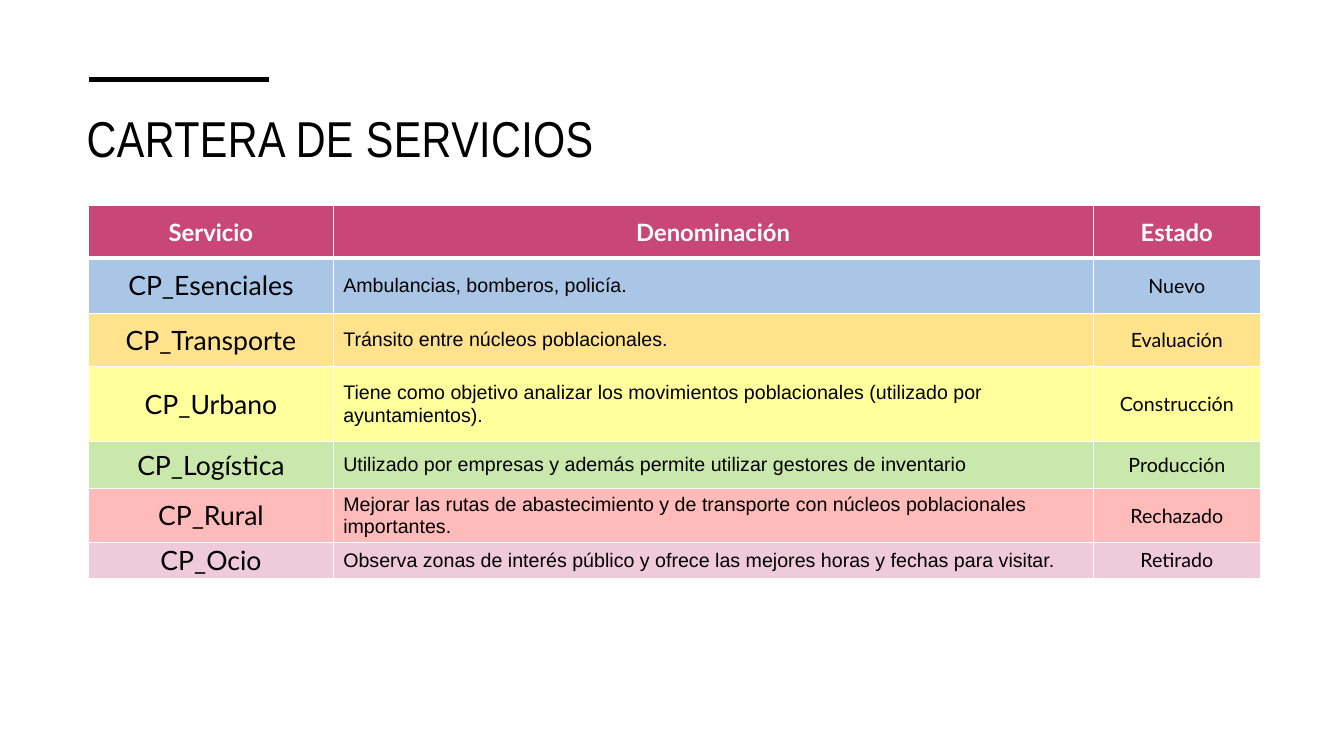
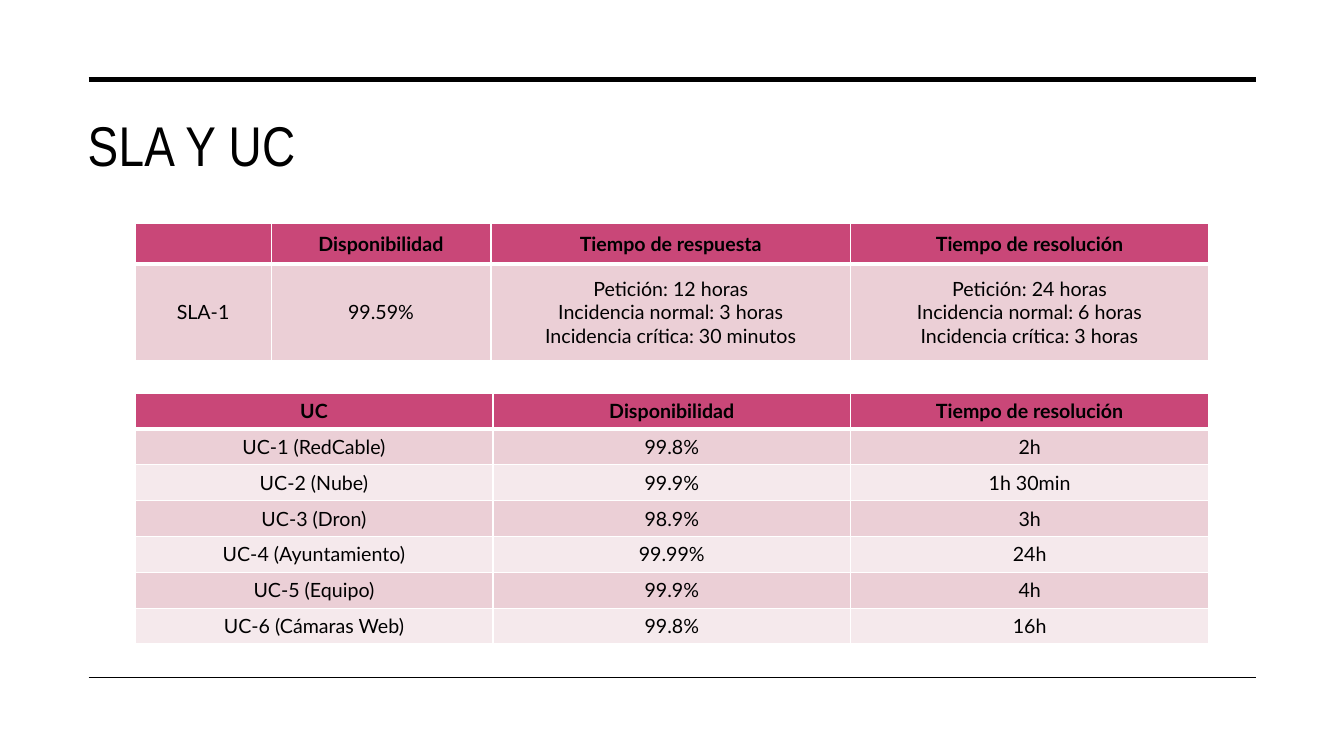
from lxml import etree
from pptx import Presentation
from pptx.dml.color import RGBColor
from pptx.enum.shapes import MSO_CONNECTOR
from pptx.enum.text import MSO_ANCHOR, MSO_AUTO_SIZE, PP_ALIGN
from pptx.oxml.ns import qn
from pptx.util import Pt

STRAIGHT = MSO_CONNECTOR.STRAIGHT
TOP, MIDDLE = MSO_ANCHOR.TOP, MSO_ANCHOR.MIDDLE
LEFT, CENTER = PP_ALIGN.LEFT, PP_ALIGN.CENTER
NO_FIT = MSO_AUTO_SIZE.NONE

# Shared look
BLACK = RGBColor(0x00, 0x00, 0x00)
WHITE = RGBColor(0xFF, 0xFF, 0xFF)
MAGENTA = RGBColor(0xC9, 0x47, 0x78)
ROSE = RGBColor(0xEB, 0xCF, 0xD6)
PALE_ROSE = RGBColor(0xF5, 0xE9, 0xEC)
BLUE = RGBColor(0xAA, 0xC6, 0xE6)
AMBER = RGBColor(0xFF, 0xC0, 0x00)
YELLOW = RGBColor(0xFF, 0xFF, 0x00)
GREEN = RGBColor(0x92, 0xD0, 0x50)
RED = RGBColor(0xFF, 0x00, 0x00)
PINK = RGBColor(0xE9, 0xB5, 0xC9)
TITLE_FONT, TABLE_FONT, TEXT_FONT = "Arial Narrow", "Lato", "Arial"
RULE_LEFT, RULE_TOP, RULE_BOTTOM = 63.4, 56.9, 483.8
RULE_SHORT, RULE_LONG = 192.2, 897.1

# Content
SERVICE_HEADER = ["Servicio", "Denominación", "Estado"]
SERVICES = [  # name, description, state, fill, opacity in percent, height
    ("CP_Esenciales", "Ambulancias, bomberos, policía.", "Nuevo", BLUE, 100, 39.6),
    ("CP_Transporte", "Tránsito entre núcleos poblacionales.", "Evaluación",
     AMBER, 45, 38.2),
    ("CP_Urbano", "Tiene como objetivo analizar los movimientos poblacionales "
     "(utilizado por ayuntamientos).", "Construcción", YELLOW, 39, 53.3),
    ("CP_Logística", "Utilizado por empresas y además permite utilizar gestores "
     "de inventario", "Producción", GREEN, 48, 33.8),
    ("CP_Rural", "Mejorar las rutas de abastecimiento y de transporte con núcleos "
     "poblacionales importantes.", "Rechazado", RED, 27, 38.2),
    ("CP_Ocio", "Observa zonas de interés público y ofrece las mejores horas y "
     "fechas para visitar.", "Retirado", PINK, 71, 25.9),
]
SLA_ROWS = [
    ["", "Disponibilidad", "Tiempo de respuesta", "Tiempo de resolución"],
    ["SLA-1", "99.59%",
     "Petición: 12 horas\nIncidencia normal: 3 horas\nIncidencia crítica: 30 minutos",
     "Petición: 24 horas\nIncidencia normal: 6 horas\nIncidencia crítica: 3 horas"],
]
UC_ROWS = [
    ["UC", "Disponibilidad", "Tiempo de resolución"],
    ["UC-1 (RedCable)", "99.8%", "2h"],
    ["UC-2 (Nube)", "99.9%", "1h 30min"],
    ["UC-3 (Dron)", "98.9%", "3h"],
    ["UC-4 (Ayuntamiento)", "99.99%", "24h"],
    ["UC-5 (Equipo)", "99.9%", "4h"],
    ["UC-6 (Cámaras Web)", "99.8%", "16h"],
]


def add_rule(slide, right, y, weight):
    rule = slide.shapes.add_connector(
        STRAIGHT, Pt(RULE_LEFT), Pt(y), Pt(right), Pt(y))
    rule.line.color.rgb = BLACK
    rule.line.width = Pt(weight)
    etree.SubElement(rule._element.spPr, qn("a:effectLst"))


def add_slide(deck, title, size, area, rule_right):
    """Add a title-only slide with its title and the heavy rule above it."""
    slide = deck.slides.add_slide(deck.slide_layouts[5])
    box = slide.shapes.title
    box.left, box.top, box.width, box.height = (Pt(value) for value in area)
    frame = box.text_frame
    frame.word_wrap = True
    frame.auto_size = NO_FIT
    frame.vertical_anchor = TOP
    frame.margin_top = Pt(6.5)
    para = frame.paragraphs[0]
    para.alignment = LEFT
    add_span(para, title, size, TITLE_FONT, BLACK)
    para.runs[0]._r.get_or_add_rPr().set("spc", "30")
    add_rule(slide, rule_right, RULE_TOP, 3.5)
    return slide


def add_span(para, text, size, font, color, bold=False):
    span = para.add_run()
    span.text = text
    span.font.size = Pt(size)
    span.font.name = font
    span.font.bold = bold
    span.font.color.rgb = color


def set_borders(cell, weights):
    """Draw white borders, given in the order left, right, top, bottom."""
    properties = cell._tc.get_or_add_tcPr()
    for index, (side, weight) in enumerate(zip("LRTB", weights)):
        line = etree.Element(qn(f"a:ln{side}"), w=str(Pt(weight)))
        fill = etree.SubElement(line, qn("a:solidFill"))
        etree.SubElement(fill, qn("a:srgbClr"), val=str(WHITE))
        properties.insert(index, line)


def set_fill(cell, color, opacity):
    cell.fill.solid()
    cell.fill.fore_color.rgb = color
    if opacity < 100:
        tint = cell._tc.tcPr.find(".//" + qn("a:srgbClr"))
        etree.SubElement(tint, qn("a:alpha"), val=str(opacity * 1000))


def add_table(slide, left, top, widths, heights, rows, fills, style):
    """style(row, column) gives size, font, colour, alignment, vertical margin."""
    table = slide.shapes.add_table(
        len(rows), len(widths), Pt(left), Pt(top),
        Pt(sum(widths)), Pt(sum(heights))).table
    for column, width in zip(table.columns, widths):
        column.width = Pt(width)
    for r, (texts, height, fill) in enumerate(zip(rows, heights, fills)):
        table.rows[r].height = Pt(height)
        for c, text in enumerate(texts):
            size, font, color, alignment, margin = style(r, c)
            cell = table.cell(r, c)
            cell.vertical_anchor = MIDDLE
            cell.margin_left = cell.margin_right = Pt(7.2)
            cell.margin_top = cell.margin_bottom = Pt(margin)
            set_fill(cell, *fill)
            # The border under the header row is heavier
            set_borders(cell, (1, 1, 3 if r == 1 else 1, 3 if r == 0 else 1))
            frame = cell.text_frame
            for index, line in enumerate(text.split("\n")):
                para = frame.add_paragraph() if index else frame.paragraphs[0]
                para.alignment = alignment
                if line:
                    add_span(para, line, size, font, color, bold=r == 0)


def service_style(row, column):
    if row == 0:
        return 17, TABLE_FONT, WHITE, CENTER, 3.6
    return [(19, TABLE_FONT, BLACK, CENTER, 1.4),
            (14, TEXT_FONT, BLACK, LEFT, 1.4),
            (14, TABLE_FONT, BLACK, CENTER, 1.4)][column]


def agreement_style(row, column):
    return 14, TABLE_FONT, BLACK, CENTER, 1.4


def build_services(deck):
    slide = add_slide(deck, "CARTERA DE SERVICIOS", 36,
                      (54.7, 69.8, 850.3, 54), RULE_SHORT)
    rows = [SERVICE_HEADER] + [service[:3] for service in SERVICES]
    fills = [(MAGENTA, 100)] + [service[3:5] for service in SERVICES]
    heights = [37.4] + [service[5] for service in SERVICES]
    add_table(slide, RULE_LEFT, 146.9, [174.6, 542.9, 119.5], heights,
              rows, fills, service_style)


def build_agreements(deck):
    slide = add_slide(deck, "SLA Y UC", 40, (55.4, 72.7, 841.7, 108), RULE_LONG)
    add_rule(slide, RULE_LONG, RULE_BOTTOM, 1)
    tables = [
        (SLA_ROWS, 159.8, [97.2, 157, 257, 255.6], [28.8, 69.1]),
        (UC_ROWS, 280.8, [255.6] * 3, [25.6] * len(UC_ROWS)),
    ]
    for rows, top, widths, heights in tables:
        bands = [(PALE_ROSE if r % 2 else ROSE, 100) for r in range(len(rows) - 1)]
        add_table(slide, 96.5, top, widths, heights, rows,
                  [(MAGENTA, 100)] + bands, agreement_style)


def main():
    deck = Presentation()
    deck.slide_width, deck.slide_height = Pt(960), Pt(540)
    build_services(deck)
    build_agreements(deck)
    deck.save("out.pptx")


if __name__ == "__main__":
    main()
